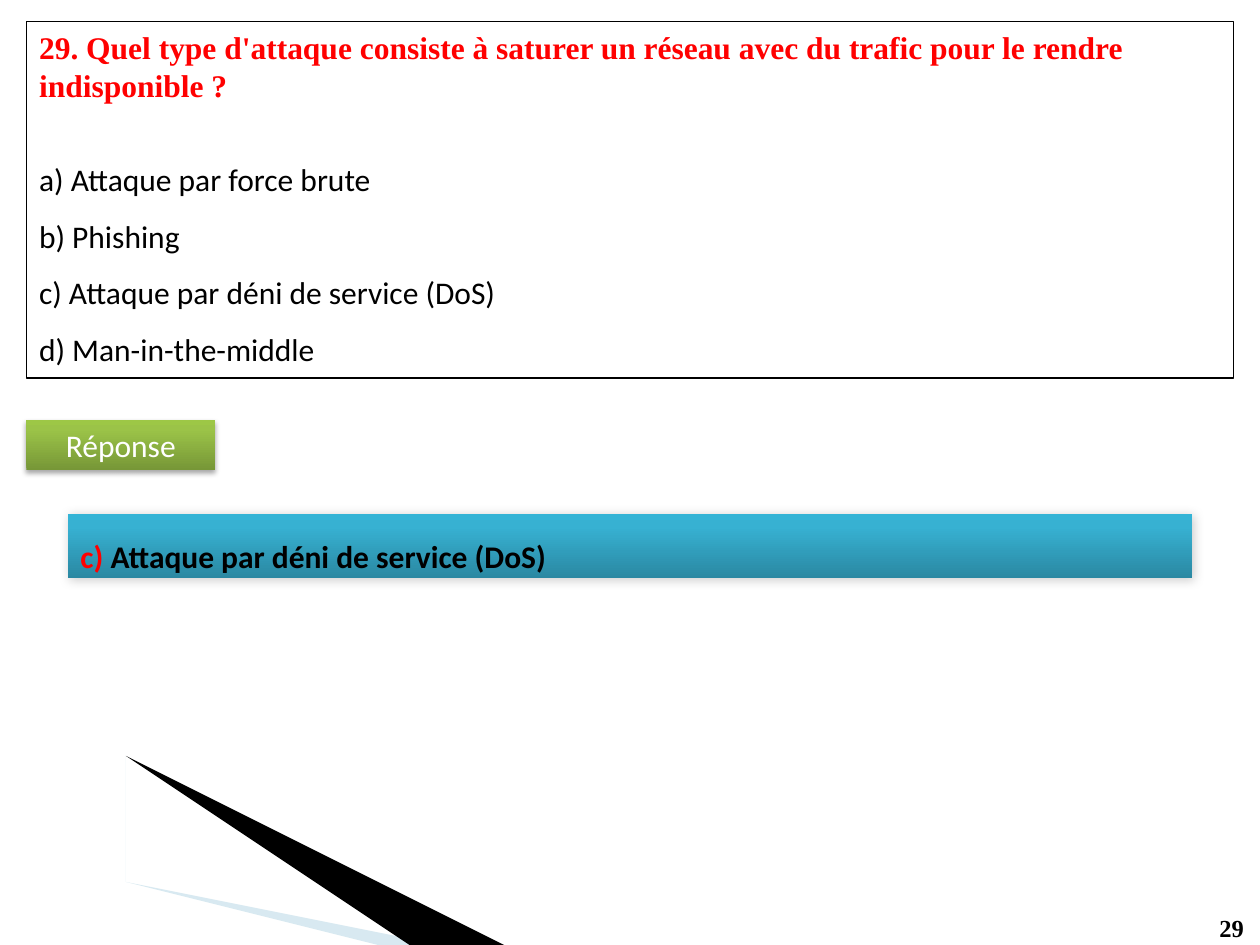
from lxml import etree
from pptx import Presentation
from pptx.dml.color import RGBColor
from pptx.enum import shapes, text
from pptx.oxml import parse_xml
from pptx.oxml.ns import nsdecls, qn
from pptx.util import Inches, Pt

QUESTION = ("29. Quel type d'attaque consiste à saturer un réseau avec du trafic "
            "pour le rendre indisponible ?")
OPTIONS = [
    "a) Attaque par force brute",
    "b) Phishing",
    "c) Attaque par déni de service (DoS)",
    "d) Man-in-the-middle",
]
BUTTON = "Réponse"
ANSWER = [("c) ", "accent"), ("Attaque par déni de service (DoS)", "ink")]
PAGE = "29"

THEME = {
    "ink": "000000", "accent": "FF0000", "light": "FFFFFF", "wedge": "9FCADC",
    "green": [(0, "779737"), (80, "9BC348"), (100, "9DC746")],
    "blue": [(0, "2A88A2"), (80, "37B1D2"), (100, "34B4D6")],
    "serif": "Times New Roman", "sans": "Calibri",
    "size": 18, "page_size": 14, "spacing": 1.5,
}

# Left, top, width, height in inches
QUESTION_BOX = (0.21, 0.17, 9.58, 2.83)
OPTIONS_BOX = (0.21, 1.07, 9.58, 1.93)
BUTTON_BOX = (0.21, 3.33, 1.5, 0.4)
ANSWER_BOX = (0.54, 4.08, 8.92, 0.51)
PAGE_BOX = (9.58, 7.2, 0.4, 0.34)

# Contours, fill colour, opacity in percent
WEDGES = [
    ([[(0.64, 6.53), (4.51, 7.5), (5.89, 7.5)],
      [(0.55, 6.5), (0.55, 6.51), (0.64, 6.53)]], "wedge", 40),
    ([[(0.53, 6.5), (0.54, 6.5), (3.67, 7.5), (4.53, 7.5)]], "ink", 100),
]


def rgb(name):
    return RGBColor.from_string(THEME[name])


def place(sp, box):
    sp.left, sp.top, sp.width, sp.height = map(Inches, box)


def style(p, face, color, bold=False, size="size", align=text.PP_ALIGN.LEFT, spacing=1.0):
    p.alignment, p.line_spacing = align, spacing
    p.space_before = Pt(0)
    f = p.font
    f.name, f.size, f.bold = THEME[face], Pt(THEME[size]), bold
    f.color.rgb = rgb(color)


def prepare(tf, anchor=text.MSO_ANCHOR.TOP):
    tf.word_wrap = True
    tf.auto_size = text.MSO_AUTO_SIZE.NONE
    tf.vertical_anchor = anchor
    return tf


def add_wedge(slide, contours, color, opacity):
    first, *rest = contours
    builder = slide.shapes.build_freeform(*first[0], scale=Inches(1))
    builder.add_line_segments(first[1:])
    for contour in rest:
        builder.move_to(*contour[0])
        builder.add_line_segments(contour[1:])
    sp = builder.convert_to_shape()
    sp.shadow.inherit = False
    sp.line.fill.background()
    sp.fill.solid()
    sp.fill.fore_color.rgb = rgb(color)
    if opacity < 100:
        clr = sp.fill._xPr.find(".//" + qn("a:srgbClr"))
        etree.SubElement(clr, qn("a:alpha")).set("val", str(opacity * 1000))


def add_panel(slide, box, gradient, opacity, blur, dist, angle):
    """Add a borderless rectangle with an upward gradient and an outer shadow."""
    sp = slide.shapes.add_shape(shapes.MSO_SHAPE.RECTANGLE, *map(Inches, box))
    sp.shadow.inherit = False
    sp.line.fill.background()
    stops = "".join(f'<a:gs pos="{pos * 1000}"><a:srgbClr val="{c}"/></a:gs>'
                    for pos, c in THEME[gradient])
    sp_pr = sp._element.spPr
    sp_pr.find(qn("a:prstGeom")).addnext(parse_xml(
        f'<a:gradFill {nsdecls("a")} rotWithShape="1"><a:gsLst>{stops}</a:gsLst>'
        '<a:lin ang="16200000" scaled="0"/></a:gradFill>'))
    sp_pr.find(qn("a:effectLst")).append(parse_xml(
        f'<a:outerShdw {nsdecls("a")} blurRad="{Pt(blur)}" dist="{Pt(dist)}" '
        f'dir="{angle * 60000}" rotWithShape="0"><a:srgbClr val="{THEME["ink"]}">'
        f'<a:alpha val="{opacity * 1000}"/></a:srgbClr></a:outerShdw>'))
    return prepare(sp.text_frame, text.MSO_ANCHOR.MIDDLE)


def main():
    prs = Presentation()
    prs.slide_width, prs.slide_height = Inches(10), Inches(7.5)
    slide = prs.slides.add_slide(prs.slide_layouts[1])
    title, body = slide.placeholders

    for wedge in WEDGES:
        add_wedge(slide, *wedge)

    place(title, QUESTION_BOX)
    title.line.color.rgb = rgb("ink")
    title.line.width = Pt(0.75)
    tf = prepare(title.text_frame)
    tf.text = QUESTION
    style(tf.paragraphs[0], "serif", "accent", bold=True)

    place(body, OPTIONS_BOX)
    tf = prepare(body.text_frame)
    tf.text = "\n".join(OPTIONS)
    for p in tf.paragraphs:
        p_pr = p._p.get_or_add_pPr()
        p_pr.set("marL", "0")
        p_pr.set("indent", "0")
        etree.SubElement(p_pr, qn("a:buNone"))
        style(p, "sans", "ink", spacing=THEME["spacing"])

    tf = add_panel(slide, BUTTON_BOX, "green", 35, 3.1, 1.8, 90)
    tf.text = BUTTON
    style(tf.paragraphs[0], "sans", "light", align=text.PP_ALIGN.CENTER)

    p = add_panel(slide, ANSWER_BOX, "blue", 20, 6, 1, 45).paragraphs[0]
    style(p, "sans", "ink", bold=True, align=text.PP_ALIGN.JUSTIFY, spacing=THEME["spacing"])
    for words, color in ANSWER:
        r = p.add_run()
        r.text = words
        r.font.color.rgb = rgb(color)

    tf = prepare(slide.shapes.add_textbox(*map(Inches, PAGE_BOX)).text_frame)
    tf.text = PAGE
    style(tf.paragraphs[0], "serif", "ink", bold=True, size="page_size")

    prs.save("out.pptx")


if __name__ == "__main__":
    main()
